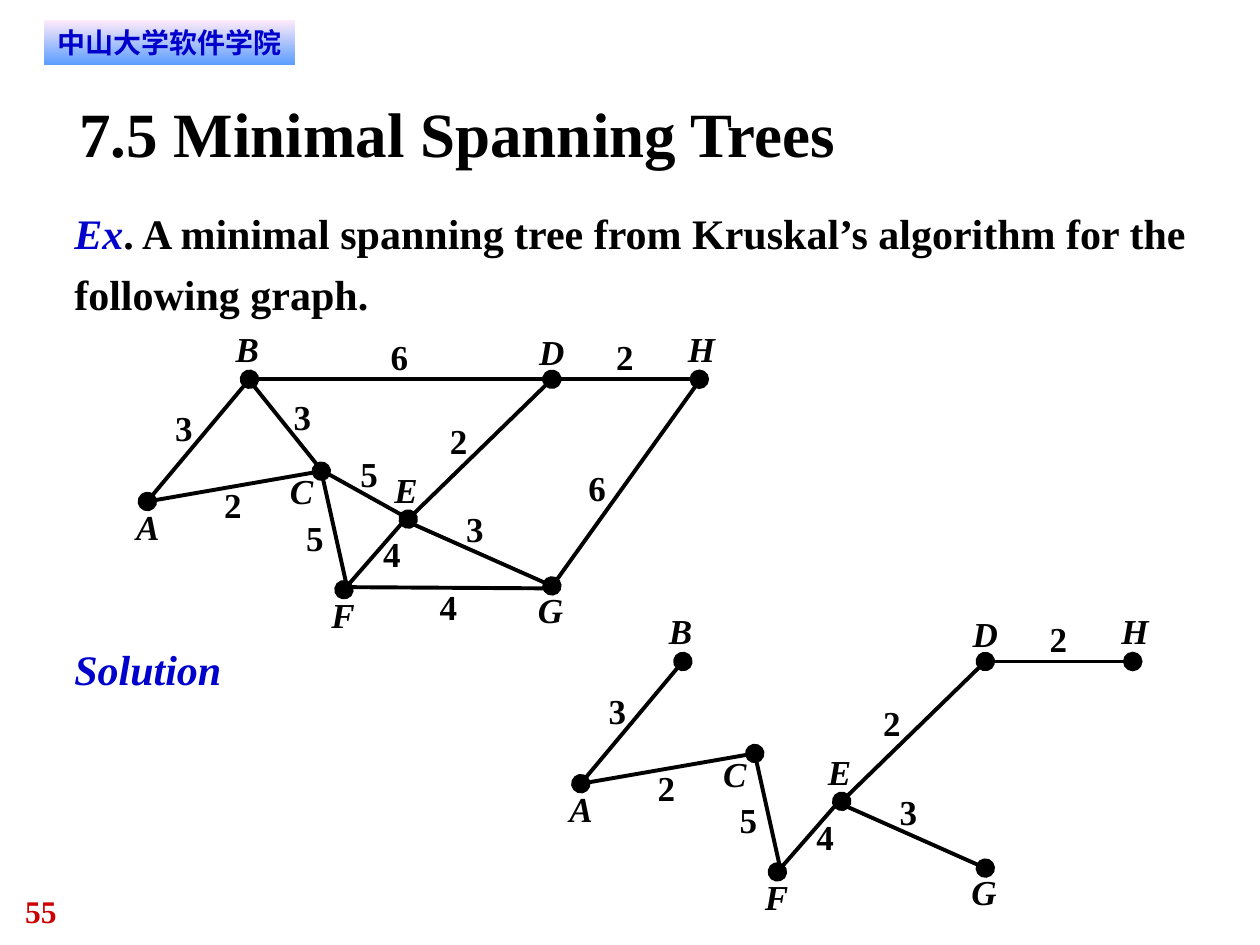
from lxml.etree import SubElement
from pptx import Presentation
from pptx.dml.color import RGBColor
from pptx.enum.shapes import MSO_CONNECTOR, MSO_SHAPE
from pptx.enum.text import MSO_AUTO_SIZE, PP_ALIGN
from pptx.oxml.ns import qn
from pptx.util import Inches, Pt

BLACK, BLUE, RED = "000000", "0000CC", "CC0000"
SERIF = "Times New Roman"


def rgb(color):
    return RGBColor.from_string(color)


def add_text(shapes, box, runs, size, wrap=True, spacing=None):
    """Add a bold text box; runs are (text, color, italic) tuples."""
    tf = shapes.add_textbox(*map(Inches, box)).text_frame
    tf.margin_left = tf.margin_right = tf.margin_top = tf.margin_bottom = 0
    tf.word_wrap = wrap
    tf.auto_size = MSO_AUTO_SIZE.SHAPE_TO_FIT_TEXT
    p = tf.paragraphs[0]
    p.line_spacing = spacing
    for text, color, italic in runs:
        r = p.add_run()
        r.text = text
        r.font.name, r.font.size = SERIF, Pt(size)
        r.font.bold, r.font.italic = True, italic
        r.font.color.rgb = rgb(color)


prs = Presentation()
prs.slide_width, prs.slide_height = Inches(10), Inches(7.5)
s = prs.slides.add_slide(prs.slide_layouts[6])

add_text(s.shapes, (0.2, 7.08, 0.75, 0.3), [("55", RED, False)], 18)

# School banner
sp = s.shapes.add_shape(MSO_SHAPE.RECTANGLE, Inches(0.35), Inches(0.16), Inches(1.99), Inches(0.35))
sp.shadow.inherit = False
sp.line.fill.background()
sp.fill.gradient()
sp.fill.gradient_angle = 270
for stop, color in zip(sp.fill.gradient_stops, ("FFEBFA", "5E9EFF")):
    stop.color.rgb = rgb(color)
tf = sp.text_frame
tf.margin_left = tf.margin_right = Inches(0.08)
tf.margin_top = tf.margin_bottom = Inches(0.04)
tf.text = "中山大学软件学院"
p = tf.paragraphs[0]
p.alignment = PP_ALIGN.CENTER
r = p.runs[0]
r.font.name, r.font.size, r.font.bold = "DejaVu Sans", Pt(16), True
r.font.color.rgb = rgb(BLUE)
SubElement(r.font._element, qn("a:ea"), typeface="DejaVu Sans")

# Title and body text
add_text(s.shapes, (0.63, 0.75, 8.75, 0.6), [("7.5 Minimal Spanning Trees", BLACK, False)], 36)
question = ". A minimal spanning tree from Kruskal’s algorithm for the following graph."
add_text(s.shapes, (0.59, 1.57, 8.95, 0.96),
         [("Ex", BLUE, True), (question, BLACK, False)], 24, spacing=1.2)
add_text(s.shapes, (0.59, 5.03, 1.66, 0.96), [("Solution", BLUE, True)], 24, spacing=1.2)

# Vertex name: left and top of its label
vertices = {
    "A": (1.08, 4.01), "B": (1.87, 2.6), "C": (2.3, 3.73), "D": (4.28, 2.62),
    "E": (3.13, 3.72), "F": (2.63, 4.71), "G": (4.27, 4.67), "H": (5.46, 2.6),
}
# Start, end, ends that carry a vertex dot, weight, left and top of the weight, in the tree
edges = [
    ((5.56, 3.01), (4.37, 4.67), (), "6", (4.67, 3.7), False),            # HG
    ((4.38, 3.01), (3.24, 4.12), ("head", "tail"), "2", (3.57, 3.33), True),  # DE
    ((1.98, 3.01), (1.16, 3.99), ("head",), "3", (1.39, 3.23), True),     # BA
    ((1.17, 3.98), (2.55, 3.74), ("head", "tail"), "2", (1.78, 3.84), True),  # AC
    ((2.53, 3.72), (3.23, 4.11), (), "5", (2.86, 3.59), False),           # CE
    ((2.55, 3.74), (2.75, 4.64), (), "5", (2.43, 4.1), True),             # CF
    ((1.98, 3.02), (2.55, 3.73), (), "3", (2.33, 3.14), False),           # BC
    ((2.74, 4.66), (4.36, 4.67), (), "4", (3.49, 4.65), False),           # FG
    ((3.21, 4.13), (2.73, 4.68), ("tail",), "4", (3.04, 4.23), True),     # EF
    ((3.21, 4.13), (4.38, 4.65), ("tail",), "3", (3.7, 4.03), True),      # EG
    ((1.98, 3.01), (4.36, 3.01), (), "6", (3.1, 2.66), False),            # BD
    ((4.36, 3.01), (5.55, 3.01), ("tail",), "2", (4.89, 2.66), True),     # DH
]

# The full graph, then its spanning tree shifted down and to the right
graph = s.shapes.add_group_shape().shapes
for shapes, dx, dy, tree_only in ((graph, 0, 0, False), (s.shapes, 3.44, 2.24, True)):
    chosen = [edge for edge in edges if edge[-1] or not tree_only]
    for (x1, y1), (x2, y2), dots, *_ in chosen:
        line = shapes.add_connector(MSO_CONNECTOR.STRAIGHT, Inches(x1 + dx), Inches(y1 + dy),
                                    Inches(x2 + dx), Inches(y2 + dy))
        line.line.color.rgb = rgb(BLACK)
        line.line.width = Pt(2.25)
        for end in dots:
            SubElement(line.line._get_or_add_ln(), qn(f"a:{end}End"), type="oval", w="lg", len="lg")
        SubElement(line._element.spPr, qn("a:effectLst"))
    for name, (x, y) in vertices.items():
        add_text(shapes, (x + dx, y + dy, 0.2, 0.33), [(name, BLACK, True)], 20, wrap=False)
    for *_, weight, (x, y), _ in chosen:
        add_text(shapes, (x + dx, y + dy, 0.14, 0.33), [(weight, BLACK, False)], 20, wrap=False)

prs.save("out.pptx")
